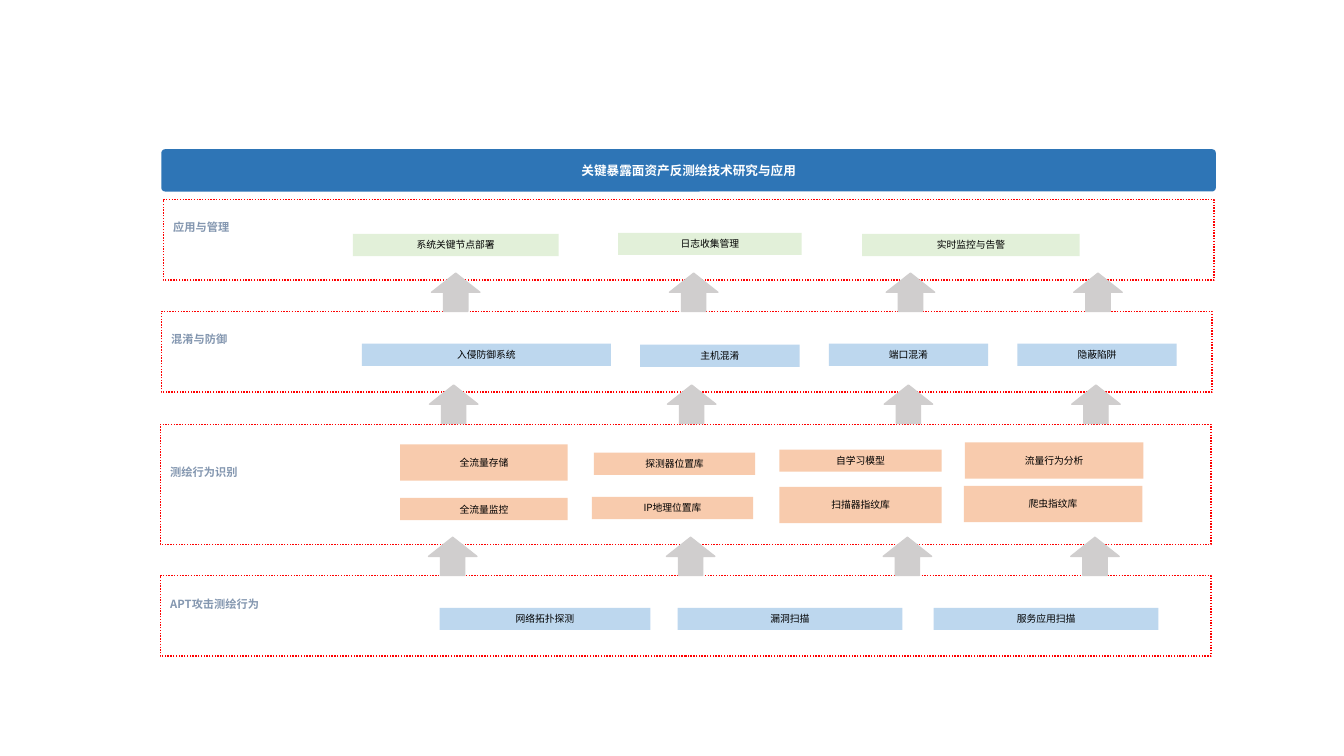
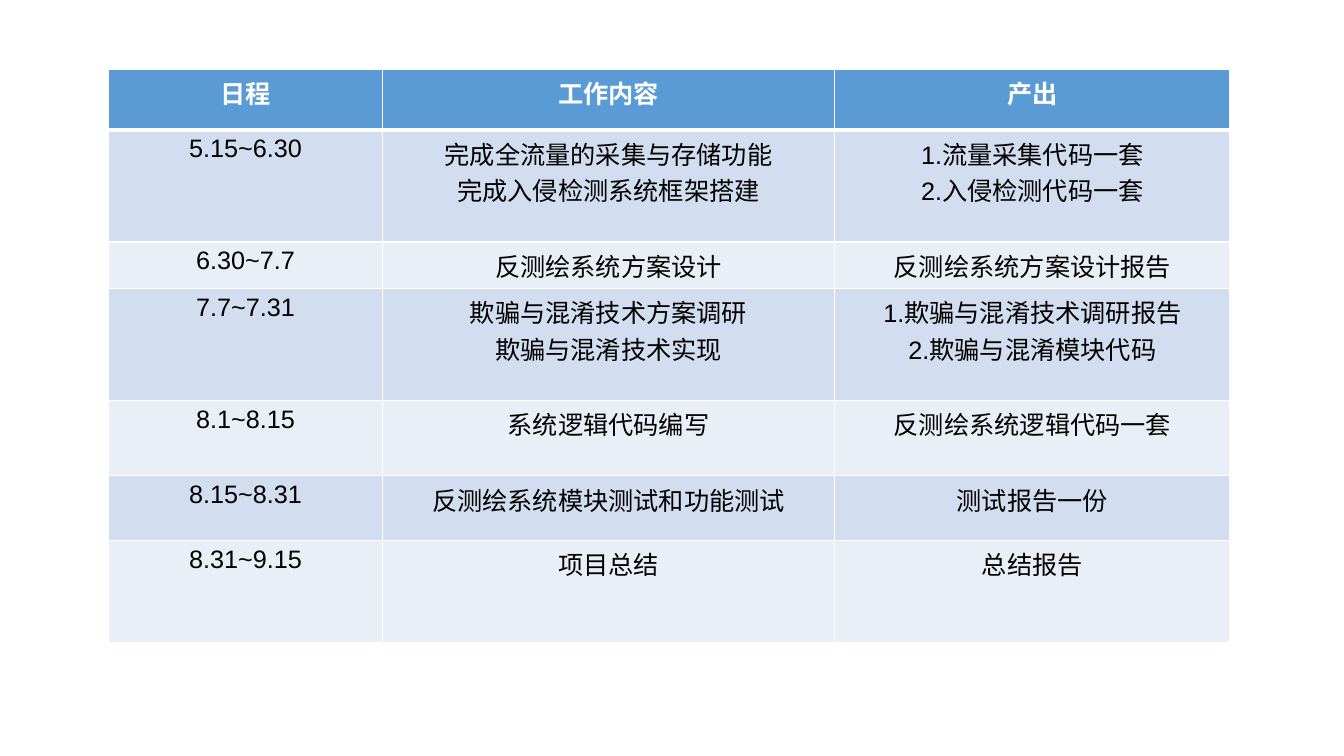
from pptx import Presentation
from pptx.dml.color import RGBColor
from pptx.enum.dml import MSO_LINE
from pptx.enum.shapes import MSO_SHAPE
from pptx.enum.text import MSO_ANCHOR, PP_ALIGN
from pptx.oxml.ns import qn
from pptx.util import Inches, Pt
from lxml import etree

RECT, ROUND, UP = MSO_SHAPE.RECTANGLE, MSO_SHAPE.ROUNDED_RECTANGLE, MSO_SHAPE.UP_ARROW
DOT = MSO_LINE.ROUND_DOT
CENTER, LEFT = PP_ALIGN.CENTER, PP_ALIGN.LEFT
MIDDLE, TOP = MSO_ANCHOR.MIDDLE, MSO_ANCHOR.TOP

COLORS = {
    "white": "FFFFFF", "black": "000000", "label": "8497B0", "frame": "FF0000",
    "arrow": "D0CECE", "title": "2E75B6", "green": "E2F0D9", "blue": "BDD7EE",
    "orange": "F8CBAD", "head": "5B9BD5", "odd": "D2DEEF", "even": "EAEFF7",
}
CJK = "Noto Sans CJK SC"
TITLE = {"size": 9, "color": "white", "bold": True}
LABEL = {"size": 8, "color": "label", "bold": True}
ITEM = {"size": 7, "color": "black", "bold": False}
HEAD = {"size": 18, "color": "white", "bold": True, "font": "Arial"}
BODY = {"size": 18, "color": "black", "bold": False, "font": "Arial"}

# Layers from the bottom up: box, label offset, item colour, items.
# An item is (text, left, top, width, height), measured from its layer's corner.
LAYERS = [
    ((1.59, 5.71, 10.42, 0.8), "APT攻击测绘行为", 0.19, "blue", [
        ("网络拓扑探测", 2.77, 0.32, 2.09, 0.22),
        ("漏洞扫描", 5.13, 0.32, 2.23, 0.22),
        ("服务应用扫描", 7.67, 0.32, 2.23, 0.22)]),
    ((1.59, 4.21, 10.42, 1.19), "测绘行为识别", 0.38, "orange", [
        ("全流量存储", 2.38, 0.2, 1.66, 0.36),
        ("全流量监控", 2.38, 0.73, 1.66, 0.22),
        ("探测器位置库", 4.3, 0.28, 1.6, 0.22),
        ("IP地理位置库", 4.28, 0.72, 1.6, 0.22),
        ("自学习模型", 6.14, 0.25, 1.61, 0.22),
        ("扫描器指纹库", 6.14, 0.62, 1.61, 0.36),
        ("流量行为分析", 7.98, 0.18, 1.77, 0.36),
        ("爬虫指纹库", 7.97, 0.61, 1.77, 0.36)]),
    ((1.6, 3.09, 10.42, 0.8), "混淆与防御", 0.18, "blue", [
        ("入侵防御系统", 1.99, 0.32, 2.47, 0.22),
        ("主机混淆", 4.75, 0.33, 1.58, 0.22),
        ("端口混淆", 6.62, 0.32, 1.58, 0.22),
        ("隐蔽陷阱", 8.49, 0.32, 1.58, 0.22)]),
    ((1.62, 1.98, 10.42, 0.8), "应用与管理", 0.18, "green", [
        ("系统关键节点部署", 1.88, 0.34, 2.04, 0.22),
        ("日志收集管理", 4.51, 0.33, 1.82, 0.22),
        ("实时监控与告警", 6.93, 0.34, 2.16, 0.22)]),
]
ARROW_LEFTS = (2.66, 5.02, 7.17, 9.03)

COL_WIDTHS = (2.71, 4.49, 3.92)
ROW_HEIGHTS = (0.6, 1.11, 0.46, 1.11, 0.75, 0.64, 1.02)
SCHEDULE = [
    ("日程", "工作内容", "产出"),
    ("5.15~6.30", "完成全流量的采集与存储功能\n完成入侵检测系统框架搭建",
     "1.流量采集代码一套\n2.入侵检测代码一套"),
    ("6.30~7.7", "反测绘系统方案设计", "反测绘系统方案设计报告"),
    ("7.7~7.31", "欺骗与混淆技术方案调研\n欺骗与混淆技术实现",
     "1.欺骗与混淆技术调研报告\n2.欺骗与混淆模块代码"),
    ("8.1~8.15", "系统逻辑代码编写", "反测绘系统逻辑代码一套"),
    ("8.15~8.31", "反测绘系统模块测试和功能测试", "测试报告一份"),
    ("8.31~9.15", "项目总结", "总结报告"),
]


def rgb(name):
    return RGBColor.from_string(COLORS[name])


def inches(box):
    return [Inches(v) for v in box]


def write(tf, text, fmt, align=CENTER):
    """Fill a text frame, one paragraph for each line."""
    for i, line in enumerate(text.split("\n")):
        p = tf.add_paragraph() if i else tf.paragraphs[0]
        p.alignment = align
        r = p.add_run()
        r.text = line
        values = {"size": Pt(fmt["size"]), "bold": fmt["bold"],
                  "name": fmt.get("font", CJK)}
        for key, value in values.items():
            setattr(r.font, key, value)
        r.font.color.rgb = rgb(fmt["color"])
        ea = etree.SubElement(r.font._element, qn("a:ea"))
        ea.set("typeface", CJK)


def set_frame(tf, anchor, side, edge):
    margins = {"margin_left": side, "margin_right": side,
               "margin_top": edge, "margin_bottom": edge}
    for key, value in margins.items():
        setattr(tf, key, Inches(value))
    tf.word_wrap = True
    tf.vertical_anchor = anchor


def add_box(s, kind, box, fill, line=None, text=None, fmt=ITEM):
    sp = s.shapes.add_shape(kind, *inches(box))
    sp.shadow.inherit = False
    sp.fill.solid()
    sp.fill.fore_color.rgb = rgb(fill)
    if line:
        sp.line.color.rgb = rgb(line)
        sp.line.width = Pt(1)
    else:
        sp.line.fill.background()
    if text:
        set_frame(sp.text_frame, MIDDLE, 0.05, 0.03)
        write(sp.text_frame, text, fmt)
    return sp


def add_layer(s, box, label, label_top, color, items, arrows):
    left, top, width, height = box
    frame = add_box(s, RECT, box, "white", "frame")
    frame.line.dash_style = DOT
    # Layer name
    tb = s.shapes.add_textbox(*inches((left, top + label_top, 2.36, 0.23)))
    set_frame(tb.text_frame, TOP, 0.1, 0.03)
    write(tb.text_frame, label, LABEL, LEFT)
    # Arrows rising from the layer below
    if arrows:
        for x in ARROW_LEFTS:
            add_box(s, UP, (left + x, top + height - 0.07, 0.48, 0.38), "arrow", "arrow")
    # Items
    for text, x, y, w, h in items:
        add_box(s, RECT, (left + x, top + y, w, h), color, text=text)


def architecture_slide(s):
    for i, layer in enumerate(LAYERS):
        add_layer(s, *layer, arrows=i > 0)
    banner = add_box(s, ROUND, (1.6, 1.48, 10.46, 0.42), "title",
                     text="关键暴露面资产反测绘技术研究与应用", fmt=TITLE)
    banner.adjustments[0] = 0.09


def set_borders(cell, widths):
    tc_pr = cell._tc.get_or_add_tcPr()
    for i, (side, width) in enumerate(widths.items()):
        ln = etree.Element(qn("a:" + side), w=str(Pt(width)))
        fill = etree.SubElement(ln, qn("a:solidFill"))
        etree.SubElement(fill, qn("a:srgbClr"), val=COLORS["white"])
        tc_pr.insert(i, ln)


def schedule_slide(s, left=1.08, top=0.69):
    box = (left, top, sum(COL_WIDTHS), sum(ROW_HEIGHTS))
    table = s.shapes.add_table(len(SCHEDULE), len(COL_WIDTHS), *inches(box)).table
    for col, width in zip(table.columns, COL_WIDTHS):
        col.width = Inches(width)
    for i, (row, height) in enumerate(zip(table.rows, ROW_HEIGHTS)):
        row.height = Inches(height)
        fill = "head" if i == 0 else "odd" if i % 2 else "even"
        for cell, text in zip(row.cells, SCHEDULE[i]):
            cell.fill.solid()
            cell.fill.fore_color.rgb = rgb(fill)
            write(cell.text_frame, text, BODY if i else HEAD)
            set_borders(cell, {"lnL": 1, "lnR": 1, "lnT": 3 if i == 1 else 1,
                               "lnB": 1 if i else 3})


def main():
    prs = Presentation()
    prs.slide_width, prs.slide_height = Inches(13.33), Inches(7.5)
    blank = prs.slide_layouts[6]
    for build in (architecture_slide, schedule_slide):
        build(prs.slides.add_slide(blank))
    prs.save("out.pptx")


if __name__ == "__main__":
    main()
